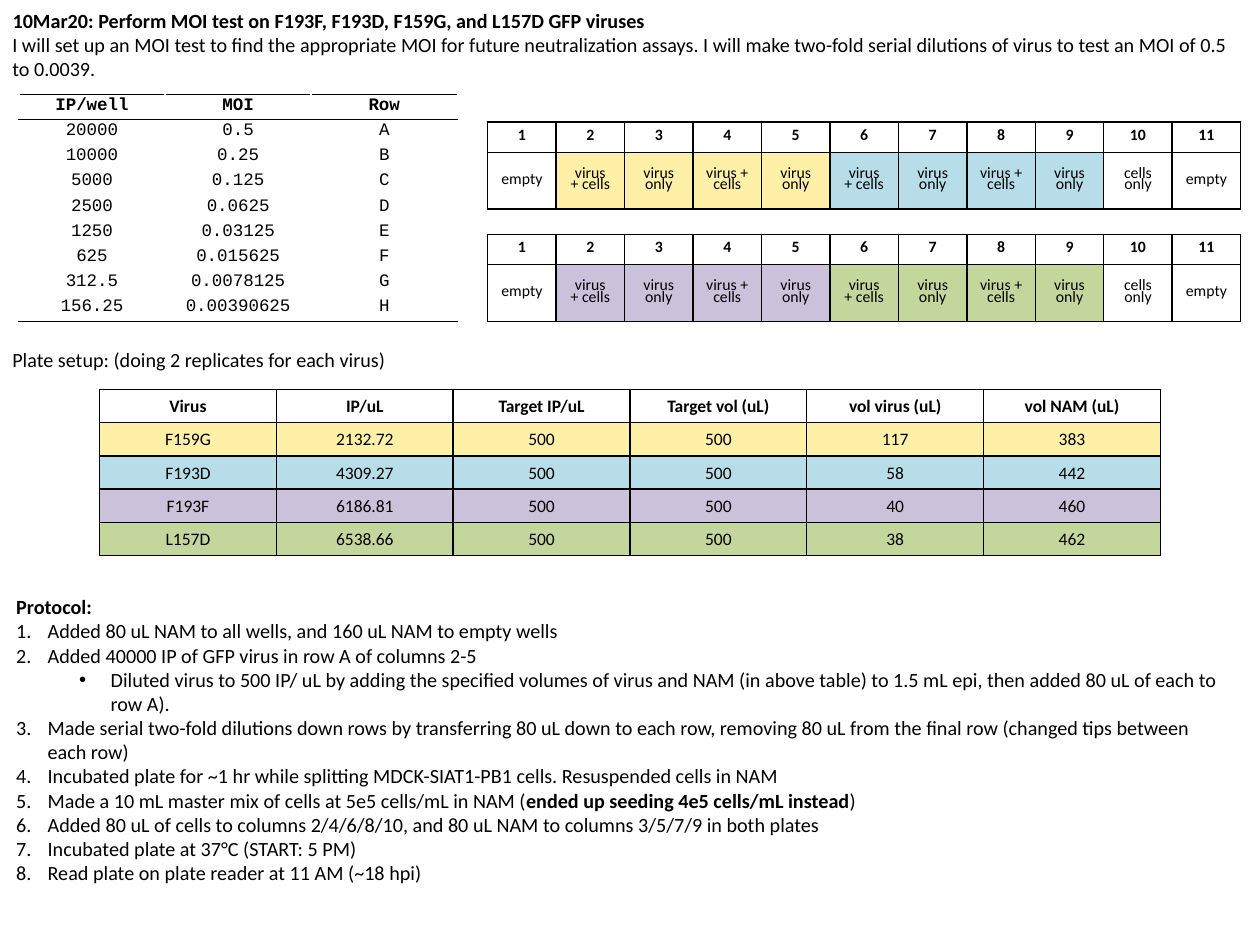
from pptx import Presentation
from pptx.dml.color import RGBColor
from pptx.enum.text import MSO_ANCHOR as Anchor, MSO_AUTO_SIZE as AutoSize, PP_ALIGN as Align
from pptx.oxml.ns import qn
from pptx.util import Inches, Pt
from lxml.etree import SubElement

BLACK = RGBColor(0x00, 0x00, 0x00)
WHITE = RGBColor(0xFF, 0xFF, 0xFF)
YELLOW = RGBColor(0xFF, 0xF0, 0xA8)
BLUE = RGBColor(0xB7, 0xDE, 0xE8)
PURPLE = RGBColor(0xCC, 0xC1, 0xDA)
GREEN = RGBColor(0xC3, 0xD6, 0x9B)


class LabPage:
    font = "Calibri"
    body_size = 11.5
    tight_spacing = 0.6

    def __init__(self, deck):
        self.page = deck.slides.add_slide(deck.slide_layouts[5])

    def style(self, para, size, bold=None, font=font):
        for span in para.runs:
            span.font.name = font
            span.font.size = Pt(size)
            span.font.color.rgb = BLACK
            if bold is not None:
                span.font.bold = bold

    def frame(self, box, left, top, width, height, inset):
        box.left, box.top = Inches(left), Inches(top)
        box.width, box.height = Inches(width), Inches(height)
        frame = box.text_frame
        frame.word_wrap = True
        frame.auto_size = AutoSize.NONE
        frame.vertical_anchor = Anchor.TOP
        frame.margin_left = frame.margin_right = Inches(0.1)
        frame.margin_top = frame.margin_bottom = Inches(inset)
        return frame

    def title(self, text, *place):
        frame = self.frame(self.page.shapes.title, *place, inset=0)
        frame.text = text
        para = frame.paragraphs[0]
        para.alignment = Align.LEFT
        self.style(para, self.body_size, True)

    def text(self, text, *place, bold=False, inset=0):
        box = self.page.shapes.add_textbox(0, 0, 0, 0)
        frame = self.frame(box, *place, inset=inset)
        frame.text = text
        self.style(frame.paragraphs[0], self.body_size, bold)
        return frame

    def list_item(self, frame, parts, level):
        para = frame.add_paragraph()
        para.level = level
        for index, part in enumerate(parts):
            span = para.add_run()
            span.text = part
            span.font.bold = index % 2 == 1
        self.style(para, self.body_size)
        props = para._p.get_or_add_pPr()
        props.set("marL", str(Inches(0.25 + 0.5 * level)))
        props.set("indent", str(Inches(-0.25)))
        if level:
            SubElement(props, qn("a:buFont"), typeface="Arial")
            SubElement(props, qn("a:buChar"), char="•")
        else:
            SubElement(props, qn("a:buFont"), typeface="+mj-lt")
            SubElement(props, qn("a:buAutoNum"), type="arabicPeriod")

    def borders(self, cell, colors):
        props = cell._tc.get_or_add_tcPr()
        for side, color in zip("LRTB", colors):
            line = SubElement(props, qn(f"a:ln{side}"), w=str(Pt(1)))
            fill = SubElement(line, qn("a:solidFill"))
            SubElement(fill, qn("a:srgbClr"), val=str(color))

    def table(self, rows, left, top, width, heights, size, fill_at,
              border_at=lambda row: (BLACK,) * 4, font=font,
              spacing=None, anchor=Anchor.MIDDLE, inset=None):
        shape = self.page.shapes.add_table(
            len(rows), len(rows[0]), Inches(left), Inches(top), Inches(width), Inches(sum(heights)))
        table = shape.table
        table.horz_banding = False
        for column in table.columns:
            column.width = Inches(width / len(rows[0]))
        for row, values in enumerate(rows):
            table.rows[row].height = Inches(heights[row])
            for column, value in enumerate(values):
                cell = table.cell(row, column)
                cell.vertical_anchor = anchor
                if inset is not None:
                    cell.margin_left = cell.margin_top = cell.margin_right = Inches(inset)
                    cell.margin_bottom = 0
                self.borders(cell, border_at(row))
                color = fill_at(row, column)
                if color is None:
                    cell.fill.background()
                else:
                    cell.fill.solid()
                    cell.fill.fore_color.rgb = color
                para = cell.text_frame.paragraphs[0]
                para.text = value
                para.alignment = Align.CENTER
                if spacing:
                    para.line_spacing = spacing
                self.style(para, size, row == 0, font)

    def plate(self, top, first_color, second_color):
        wells = ["virus\v+ cells", "virus only", "virus + cells", "virus only"] * 2
        rows = [[str(number) for number in range(1, 12)],
                ["empty", *wells, "cells only", "empty"]]
        colors = [None] + [first_color] * 4 + [second_color] * 4 + [None] * 2
        self.table(rows, 3.87, top, 5.98, [0.24, 0.45], 9,
                   lambda row, column: colors[column] if row else None,
                   spacing=self.tight_spacing)


def dilution_borders(row):
    above = BLACK if row in (0, 1) else WHITE
    below = BLACK if row in (0, 8) else WHITE
    return WHITE, WHITE, above, below


deck = Presentation()
deck.slide_width, deck.slide_height = Inches(10), Inches(7.5)
lab = LabPage(deck)

lab.title("10Mar20: Perform MOI test on F193F, F193D, F159G, and L157D GFP viruses", 0, 0.07, 10, 0.19)
lab.text("I will set up an MOI test to find the appropriate MOI for future neutralization assays. "
         "I will make two-fold serial dilutions of virus to test an MOI of 0.5 to 0.0039.",
         0, 0.26, 10, 0.4)
lab.text("Plate setup: (doing 2 replicates for each virus)", 0, 2.76, 10, 0.2)

protocol = lab.text("Protocol:", 0.03, 4.67, 9.82, 2.42, bold=True, inset=0.05)
STEPS = [
    (0, "Added 80 uL NAM to all wells, and 160 uL NAM to empty wells"),
    (0, "Added 40000 IP of GFP virus in row A of columns 2-5"),
    (1, "Diluted virus to 500 IP/ uL by adding the specified volumes of virus and NAM "
        "(in above table) to 1.5 mL epi, then added 80 uL of each to row A)."),
    (0, "Made serial two-fold dilutions down rows by transferring 80 uL down to each row, "
        "removing 80 uL from the final row (changed tips between each row)"),
    (0, "Incubated plate for ~1 hr while splitting MDCK-SIAT1-PB1 cells. Resuspended cells in NAM"),
    (0, "Made a 10 mL master mix of cells at 5e5 cells/mL in NAM (",
        "ended up seeding 4e5 cells/mL instead", ")"),
    (0, "Added 80 uL of cells to columns 2/4/6/8/10, and 80 uL NAM to columns 3/5/7/9 in both plates"),
    (0, "Incubated plate at 37°C (START: 5 PM)"),
    (0, "Read plate on plate reader at 11 AM (~18 hpi)"),
]
for level, *parts in STEPS:
    lab.list_item(protocol, parts, level)

dilutions = [["IP/well", "MOI", "Row"]]
for step, letter in enumerate("ABCDEFGH"):
    dilutions.append([f"{20000 / 2 ** step:g}", f"{0.5 / 2 ** step:.8g}", letter])
lab.table(dilutions, 0.15, 0.75, 3.48, [0.2] * 9, 10, lambda row, column: None,
          border_at=dilution_borders, font="Courier New",
          spacing=lab.tight_spacing, anchor=Anchor.TOP)

volumes = [
    ["Virus", "IP/uL", "Target IP/uL", "Target vol (uL)", "vol virus (uL)", "vol NAM (uL)"],
    ["F159G", "2132.72", "500", "500", "117", "383"],
    ["F193D", "4309.27", "500", "500", "58", "442"],
    ["F193F", "6186.81", "500", "500", "40", "460"],
    ["L157D", "6538.66", "500", "500", "38", "462"],
]
virus_colors = [None, YELLOW, BLUE, PURPLE, GREEN]
lab.table(volumes, 0.79, 3.09, 8.42, [1.32 / 5] * 5, 10,
          lambda row, column: virus_colors[row], inset=0.01)

lab.plate(0.97, YELLOW, BLUE)
lab.plate(1.86, PURPLE, GREEN)

deck.save("out.pptx")
